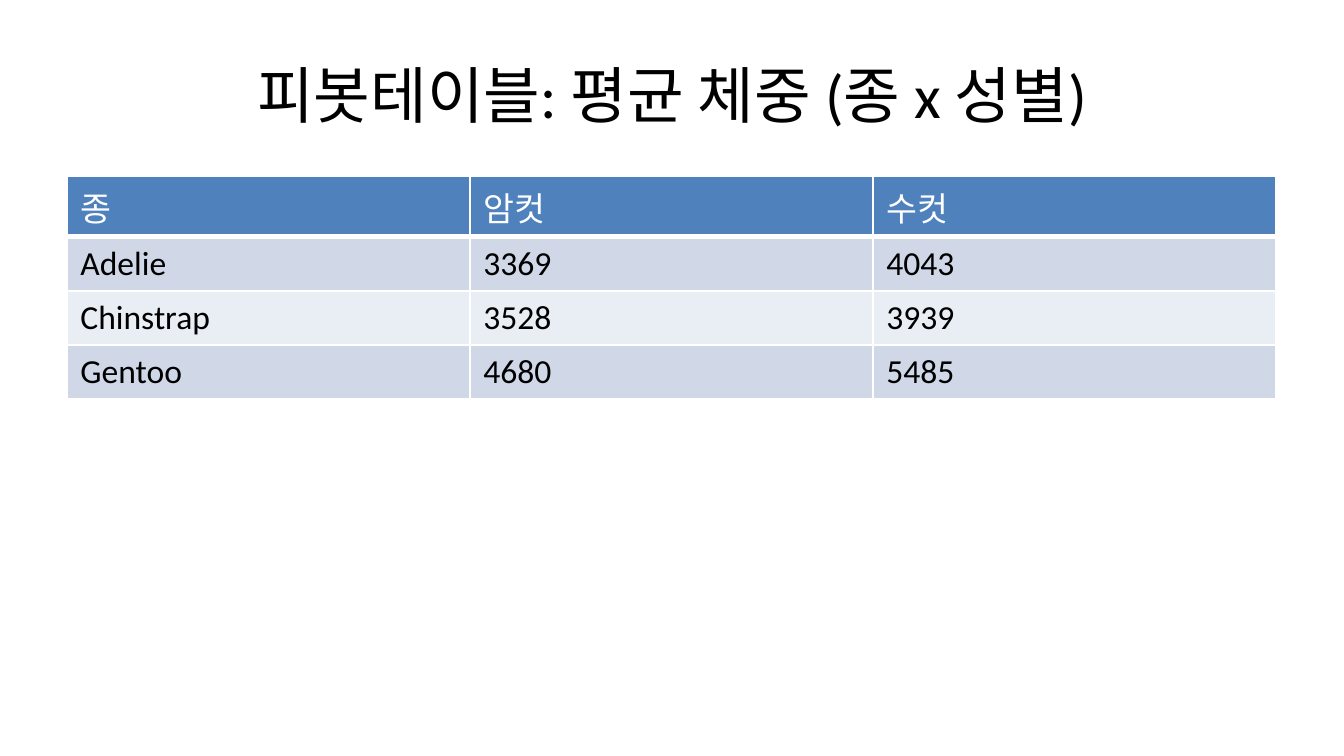
from lxml.etree import SubElement
from pptx import Presentation
from pptx.dml.color import RGBColor
from pptx.enum.text import MSO_ANCHOR as Anchor, PP_ALIGN as Align
from pptx.oxml.ns import qn
from pptx.util import Emu, Pt

EMU_PER_PX = 914400 / 134.4
WHITE, BLACK = "FFFFFF", "000000"
HEADER_FILL = "4F81BD"
BAND_FILLS = ("E9EDF4", "D0D8E8")
HEADINGS = ("종", "암컷", "수컷")
WEIGHTS = (
    ("Adelie", 3369, 4043),
    ("Chinstrap", 3528, 3939),
    ("Gentoo", 4680, 5485),
)


def px(length):
    return Emu(round(length * EMU_PER_PX))


def color(hex_code):
    return RGBColor.from_string(hex_code)


def write(frame, text, size, text_color, align=Align.LEFT):
    paragraph = frame.paragraphs[0]
    paragraph.alignment = align
    run = paragraph.add_run()
    run.text = text
    formats = {"name": "Calibri", "size": Pt(size), "bold": False}
    for attribute, value in formats.items():
        setattr(run.font, attribute, value)
    run.font.color.rgb = color(text_color)


def add_title(slide, text):
    title = slide.shapes.add_textbox(px(67), px(31), px(1210), px(126))
    frame = title.text_frame
    formats = {"word_wrap": True, "vertical_anchor": Anchor.MIDDLE}
    for attribute, value in formats.items():
        setattr(frame, attribute, value)
    write(frame, text, 33, BLACK, Align.CENTER)


def add_borders(cell, widths):
    properties = cell._tc.get_or_add_tcPr()
    for side, width in widths.items():
        line = SubElement(properties, qn(f"a:ln{side}"), w=str(Pt(width)))
        fill = SubElement(line, qn("a:solidFill"))
        SubElement(fill, qn("a:srgbClr"), val=WHITE)


def add_weight_table(slide):
    records = (HEADINGS, *WEIGHTS)
    row_heights = (61, 54, 54, 54)
    table = slide.shapes.add_table(
        len(records), len(HEADINGS), px(67), px(176), px(1209), px(sum(row_heights))
    ).table
    for row_index, (record, height) in enumerate(zip(records, row_heights)):
        table.rows[row_index].height = px(height)
        is_header = row_index == 0
        for column_index, value in enumerate(record):
            cell = table.cell(row_index, column_index)
            add_borders(cell, {"L": 1, "R": 1, "T": 1, "B": 3 if is_header else 1})
            cell.fill.solid()
            cell.fill.fore_color.rgb = color(
                HEADER_FILL if is_header else BAND_FILLS[row_index % 2]
            )
            write(cell.text_frame, str(value), 18, WHITE if is_header else BLACK)


def main():
    deck = Presentation()
    deck.slide_width, deck.slide_height = px(1344), px(756)
    slide = deck.slides.add_slide(deck.slide_layouts[6])
    add_title(slide, "피봇테이블: 평균 체중 (종 x 성별)")
    add_weight_table(slide)
    deck.save("out.pptx")


if __name__ == "__main__":
    main()
